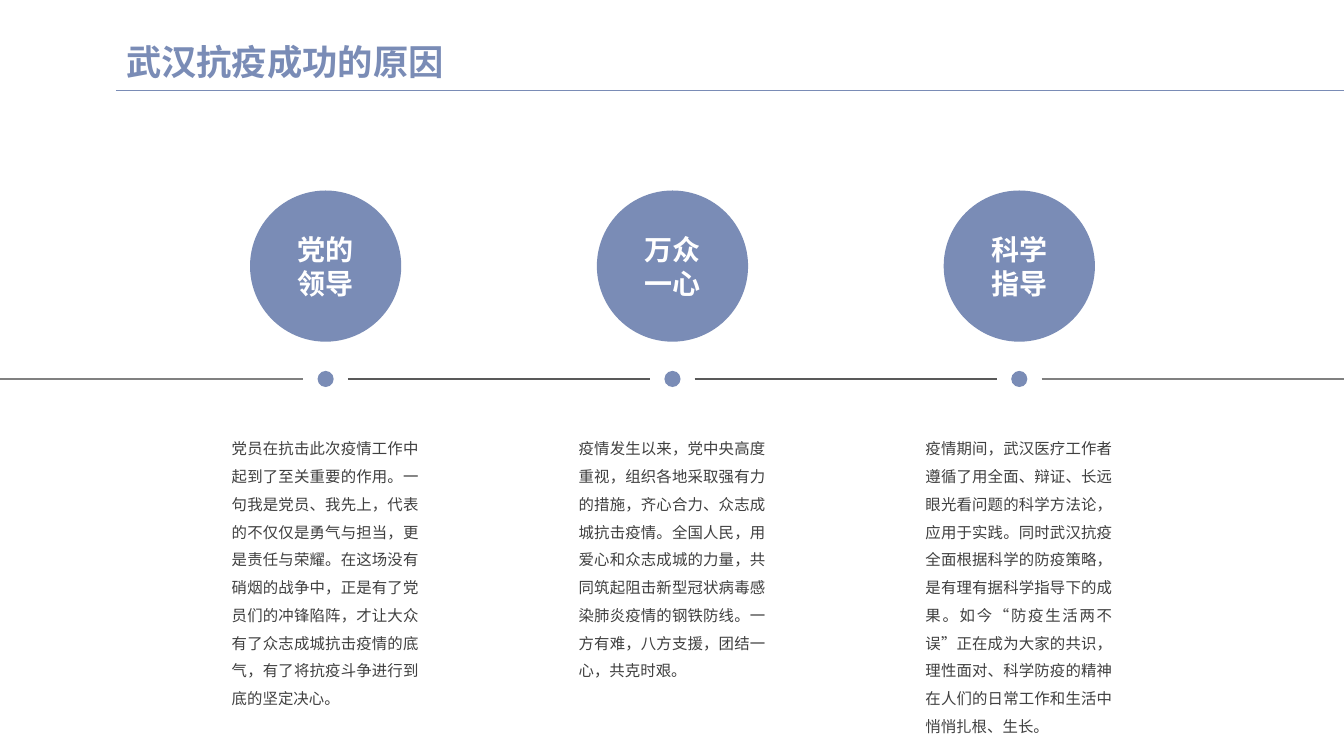
from lxml import etree
from pptx import Presentation
from pptx.dml.color import RGBColor
from pptx.enum.lang import MSO_LANGUAGE_ID
from pptx.enum.shapes import MSO_CONNECTOR, MSO_SHAPE
from pptx.enum.text import MSO_ANCHOR, MSO_AUTO_SIZE, PP_ALIGN
from pptx.oxml.ns import qn
from pptx.util import Inches, Pt

LINE, OVAL = MSO_CONNECTOR.STRAIGHT, MSO_SHAPE.OVAL
MIDDLE = MSO_ANCHOR.MIDDLE
LEFT, CENTER, JUSTIFY = PP_ALIGN.LEFT, PP_ALIGN.CENTER, PP_ALIGN.JUSTIFY
CHINESE = MSO_LANGUAGE_ID.SIMPLIFIED_CHINESE

BLUE, WHITE, TEXT = "7A8CB6", "FFFFFF", "404040"
OUTER, INNER = "808080", "595959"
WIDTH = 13.33
AXIS_Y = 3.76
FIRST_X, PITCH = 3.23, 3.44
GAP = 0.22

TITLE_FONT = {"name": "Montserrat", "size": Pt(25.2), "bold": True}
LABEL_FONT = {"name": "Arial", "size": Pt(20), "bold": True}
BODY_FONT = {"name": "Noto Sans CJK SC", "size": Pt(11), "bold": False}

REASONS = [
    (["党的", "领导"],
     "党员在抗击此次疫情工作中起到了至关重要的作用。一句我是党员、我先上，代表的不仅仅是勇气与担当，"
     "更是责任与荣耀。在这场没有硝烟的战争中，正是有了党员们的冲锋陷阵，才让大众有了众志成城抗击疫情的底气，"
     "有了将抗疫斗争进行到底的坚定决心。", 2.85),
    (["万众", "一心"],
     "疫情发生以来，党中央高度重视，组织各地采取强有力的措施，齐心合力、众志成城抗击疫情。全国人民，"
     "用爱心和众志成城的力量，共同筑起阻击新型冠状病毒感染肺炎疫情的钢铁防线。一方有难，八方支援，"
     "团结一心，共克时艰。", 2.57),
    (["科学", "指导"],
     "疫情期间，武汉医疗工作者遵循了用全面、辩证、长远眼光看问题的科学方法论，应用于实践。"
     "同时武汉抗疫全面根据科学的防疫策略，是有理有据科学指导下的成果。如今“防疫生活两不误”正在成为大家的共识，"
     "理性面对、科学防疫的精神在人们的日常工作和生活中悄悄扎根、生长。", 3.12),
]


def rgb(value):
    return RGBColor.from_string(value)


def write(tf, lines, font, color, align, spacing):
    for i, line in enumerate(lines):
        p = tf.add_paragraph() if i else tf.paragraphs[0]
        p.alignment, p.line_spacing = align, spacing
        r = p.add_run()
        r.text = line
        for key, value in font.items():
            setattr(r.font, key, value)
        r.font.color.rgb = rgb(color)
        r.font.language_id = CHINESE
        ea = etree.SubElement(r.font._element, qn("a:ea"))
        ea.set("typeface", "Noto Sans CJK SC")


prs = Presentation()
prs.slide_width, prs.slide_height = Inches(WIDTH), Inches(7.5)
s = prs.slides.add_slide(prs.slide_layouts[5])

# Title
title = s.shapes.title
title.left, title.top = Inches(1.15), Inches(0.38)
title.width, title.height = Inches(11.5), Inches(0.52)
tf = title.text_frame
tf.vertical_anchor, tf.auto_size = MIDDLE, MSO_AUTO_SIZE.NONE
write(tf, ["武汉抗疫成功的原因"], TITLE_FONT, BLUE, LEFT, 0.9)

# Title rule and the timeline segments between the dots
centers = [FIRST_X + i * PITCH for i in range(len(REASONS))]
starts = [0] + [x + GAP for x in centers]
ends = [x - GAP for x in centers] + [WIDTH]
rules = [(1.15, WIDTH, 0.9, BLUE, 0.5)]
for x1, x2, color in zip(starts, ends, [OUTER, INNER, INNER, OUTER]):
    rules.append((x1, x2, AXIS_Y, color, 1))
for x1, x2, y, color, weight in rules:
    rule = s.shapes.add_connector(LINE, Inches(x1), Inches(y), Inches(x2), Inches(y))
    rule.line.color.rgb = rgb(color)
    rule.line.width = Pt(weight)
    etree.SubElement(rule._element.spPr, qn("a:effectLst"))

# One column per reason: circle, dot and text
for x, (label, body, height) in zip(centers, REASONS):
    for size, y, lines in [(1.5, 2.64, label), (0.16, AXIS_Y, [])]:
        sp = s.shapes.add_shape(OVAL, Inches(x - size / 2), Inches(y - size / 2),
                                Inches(size), Inches(size))
        sp.shadow.inherit = False
        sp.fill.solid()
        sp.fill.fore_color.rgb = rgb(BLUE)
        sp.line.fill.background()
        tf = sp.text_frame
        tf.margin_left = tf.margin_right = 0
        tf.vertical_anchor = MIDDLE
        write(tf, lines, LABEL_FONT, WHITE, CENTER, 1.0)

    box = s.shapes.add_textbox(Inches(x - 1.03), Inches(4.22), Inches(2.05), Inches(height))
    tf = box.text_frame
    tf.word_wrap = True
    tf.auto_size = MSO_AUTO_SIZE.SHAPE_TO_FIT_TEXT
    write(tf, [body], BODY_FONT, TEXT, JUSTIFY, 1.5)

prs.save("out.pptx")
